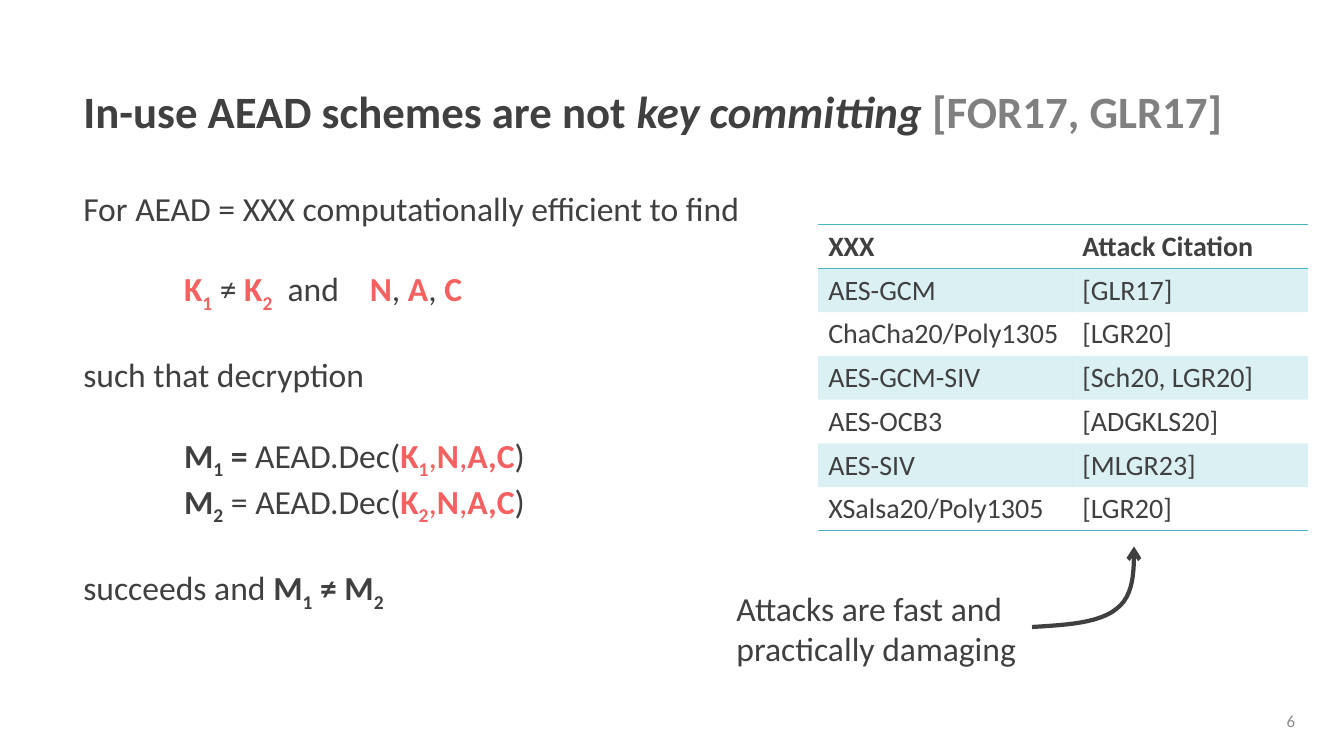
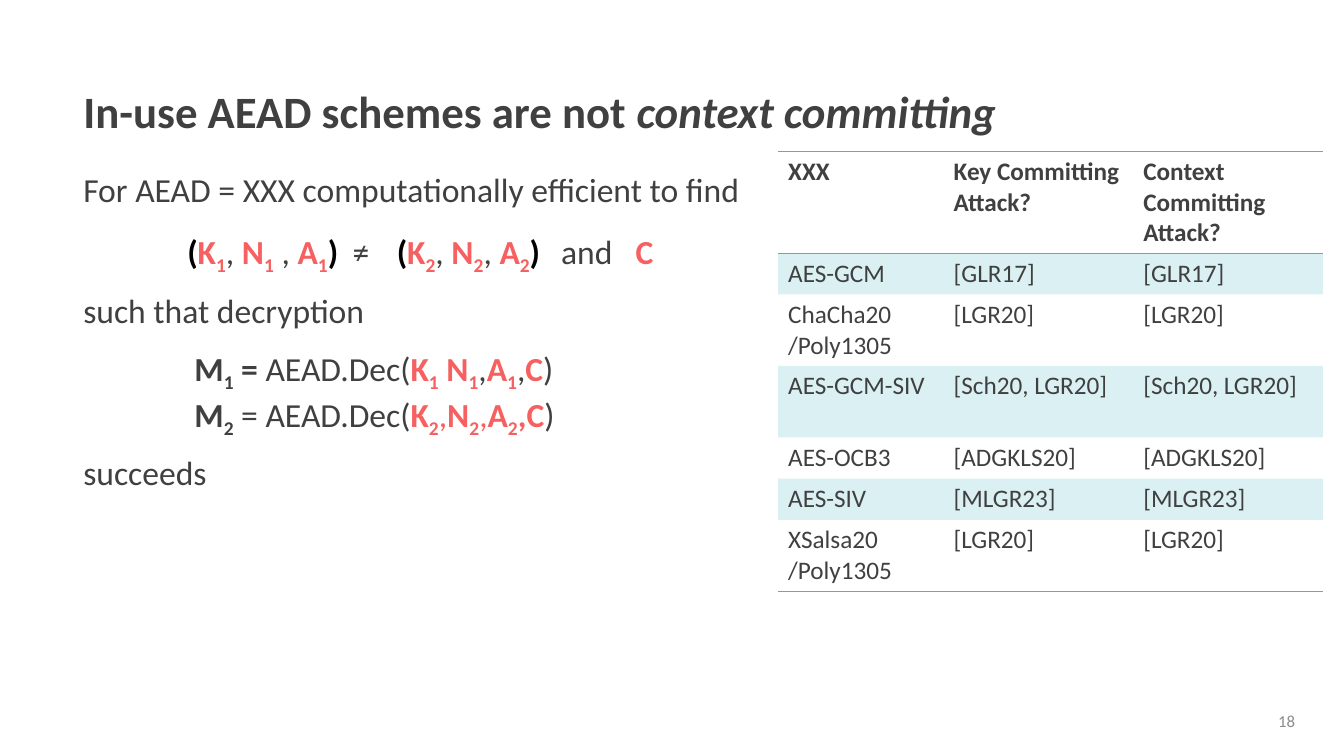
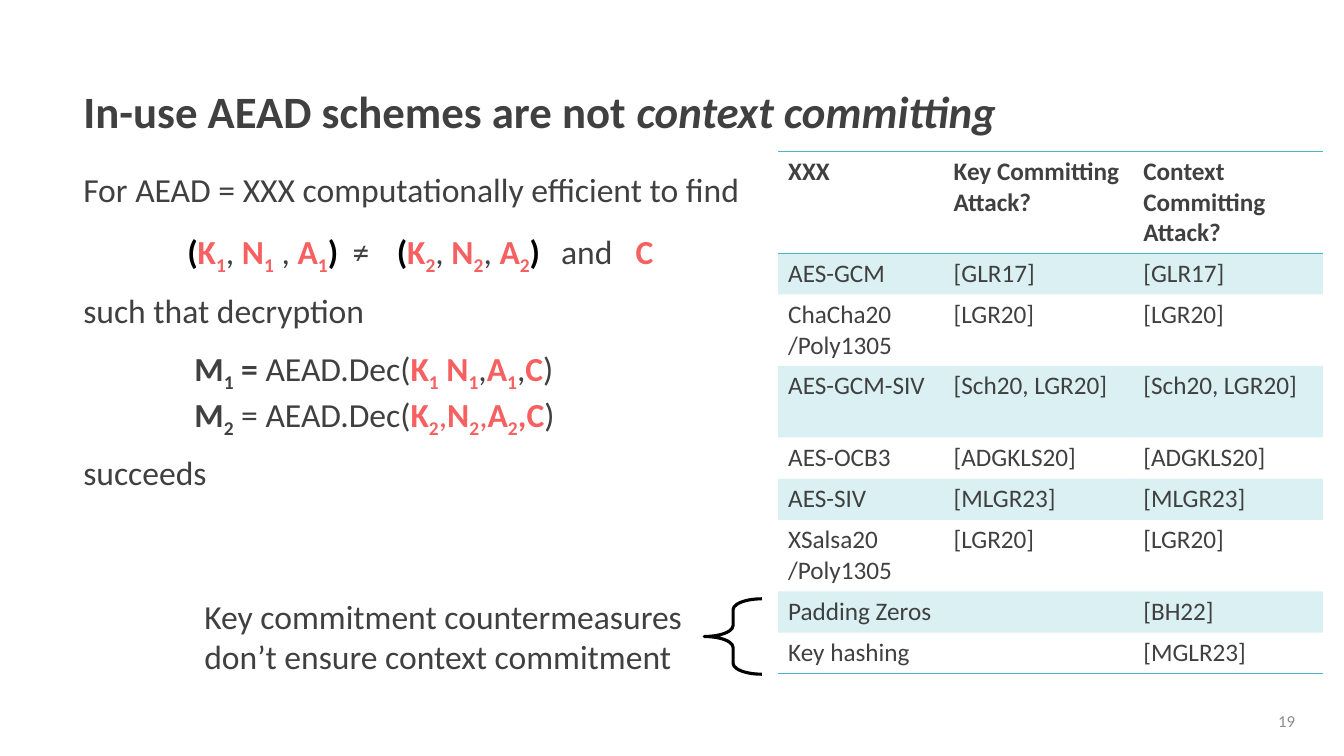
from pptx import Presentation
from pptx.dml.color import RGBColor
from pptx.enum.shapes import MSO_SHAPE as Shape
from pptx.enum.text import MSO_ANCHOR as Anchor, MSO_AUTO_SIZE as AutoSize, PP_ALIGN as Align
from pptx.oxml.ns import qn
from pptx.util import Cm, Pt
from lxml.etree import SubElement

# Shared look
FONT = "Calibri"
DARK = RGBColor(0x40, 0x40, 0x40)
GREY = RGBColor(0x80, 0x80, 0x80)
NUMBER_GREY = RGBColor(0x8C, 0x8C, 0x8C)
RED = RGBColor(0xF6, 0x60, 0x60)
TEAL = RGBColor(0x4A, 0xB5, 0xC4)
BLACK = RGBColor(0, 0, 0)
BODY_SIZE = 24
BLANK_LINE = 28.8  # points of space that stand for one empty line
NO_TABLE_STYLE = "{2D5ABB26-0587-4C30-8999-92F81FD0307C}"

STYLES = {
    "plain": {"color": DARK, "bold": False},
    "strong": {"color": DARK, "bold": True},
    "emphasis": {"color": DARK, "bold": True, "italic": True},
    "cite": {"color": GREY, "bold": True},
    "number": {"color": NUMBER_GREY, "bold": False},
    "red": {"color": RED, "bold": True},
    "light red": {"color": RED, "bold": False},
    "black": {"color": BLACK, "bold": True},
}

# Wording used on several slides; "_" lowers the character after it
INTRO = ["For AEAD = XXX computationally efficient to find"]
SUCH_THAT = ["such that decryption"]
NOT_TITLE = ("In-use AEAD schemes are not ", "strong")
SCHEMES = [
    ("AES-GCM", "[GLR17]"),
    ("ChaCha20/Poly1305", "[LGR20]"),
    ("AES-GCM-SIV", "[Sch20, LGR20]"),
    ("AES-OCB3", "[ADGKLS20]"),
    ("AES-SIV", "[MLGR23]"),
    ("XSalsa20/Poly1305", "[LGR20]"),
]
COUNTERMEASURES = [("Padding Zeros", "", "[BH22]"), ("Key hashing", "", "[MGLR23]")]
TALL, SHORT = 1.8, 1.04
CONTEXT_ROWS = [2.57, SHORT, TALL, TALL, SHORT, SHORT, TALL]


# Text
def add_span(para, text, style, size, lowered=False):
    span = para.add_run()
    span.text = text
    values = dict(STYLES[style], name=FONT, size=Pt(size))
    span.font.color.rgb = values.pop("color")
    for name, value in values.items():
        setattr(span.font, name, value)
    if lowered:
        span.font._element.set("baseline", "-25000")


def fill_para(para, spans, size):
    for item in spans:
        text, style = (item, "plain") if isinstance(item, str) else item
        first, *rest = text.split("_")
        if first:
            add_span(para, first, style, size)
        for part in rest:
            add_span(para, part[0], style, size, lowered=True)
            if part[1:]:
                add_span(para, part[1:], style, size)


def add_tabs(para, stops):
    tab_list = SubElement(para._p.get_or_add_pPr(), qn("a:tabLst"))
    for stop in stops:
        SubElement(tab_list, qn("a:tab"), pos=str(Cm(stop)), algn="l")


def add_text(page, place, lines, size=BODY_SIZE, tabs=(), align=Align.LEFT, anchor=Anchor.TOP):
    """Each line is a pair: empty lines before it, and its spans."""
    box = page.shapes.add_textbox(*map(Cm, place))
    frame = box.text_frame
    frame.word_wrap = True
    frame.vertical_anchor = anchor
    for index, (gap, spans) in enumerate(lines):
        para = frame.add_paragraph() if index else frame.paragraphs[0]
        if tabs:
            add_tabs(para, tabs)
        para.alignment = align
        if gap:
            para.space_before = Pt(gap * BLANK_LINE)
        fill_para(para, spans, size)


def add_page(deck, title_spans, number):
    page = deck.slides.add_slide(deck.slide_layouts[5])
    title = page.shapes.title
    title.left, title.top, title.width, title.height = map(Cm, (1.85, 1.02, 30.12, 3.68))
    frame = title.text_frame
    frame.word_wrap, frame.auto_size = True, AutoSize.NONE
    frame.vertical_anchor = Anchor.MIDDLE
    para = frame.paragraphs[0]
    para.alignment, para.line_spacing = Align.LEFT, 0.9
    fill_para(para, title_spans, 32)
    add_text(page, (25.27, 17.65, 7.62, 1.02), [(0, [(str(number), "number")])],
             size=12, align=Align.RIGHT, anchor=Anchor.MIDDLE)
    return page


# Table
def add_border(cell, side):
    line = SubElement(cell._tc.get_or_add_tcPr(), qn(f"a:{side}"), w=str(Pt(1)))
    SubElement(SubElement(line, qn("a:solidFill")), qn("a:srgbClr"), val=str(TEAL))


def shade(cell):
    cell.fill.solid()
    cell.fill.fore_color.rgb = TEAL
    color = cell._tc.tcPr.find(f"{qn('a:solidFill')}/{qn('a:srgbClr')}")
    SubElement(color, qn("a:alpha"), val="20000")


def add_scheme_table(page, corner, widths, heights, rows, size):
    place = (*corner, sum(widths), sum(heights))
    table = page.shapes.add_table(len(rows), len(widths), *map(Cm, place)).table
    table.first_row = table.horz_banding = False
    table._tbl.tblPr.find(qn("a:tableStyleId")).text = NO_TABLE_STYLE
    for column, width in zip(table.columns, widths):
        column.width = Cm(width)
    for row_index, (row, height) in enumerate(zip(rows, heights)):
        table.rows[row_index].height = Cm(height)
        for column_index, text in enumerate(row):
            cell = table.cell(row_index, column_index)
            if row_index == 0:
                add_border(cell, "lnT")
            if row_index in (0, len(rows) - 1):
                add_border(cell, "lnB")
            if row_index % 2:
                shade(cell)
            else:
                cell.fill.background()
            style = "plain" if row_index else "strong"
            for index, line in enumerate(text.split("\n") if text else []):
                frame = cell.text_frame
                para = frame.add_paragraph() if index else frame.paragraphs[0]
                fill_para(para, [(line, style)], size)


# Drawn marks
def set_outline(shape, color, width):
    shape.shadow.inherit = False
    shape.fill.background()
    shape.line.color.rgb = color
    shape.line.width = Pt(width)


def curve_points(start, control_a, control_b, end, steps=12):
    for step in range(1, steps + 1):
        t = step / steps
        weights = ((1 - t) ** 3, 3 * t * (1 - t) ** 2, 3 * t * t * (1 - t), t ** 3)
        points = (start, control_a, control_b, end)
        yield tuple(Cm(sum(w * point[axis] for w, point in zip(weights, points)))
                    for axis in (0, 1))


def add_curved_arrow(page, start, bend, end):
    """Two curves that meet at the bend, with an open head at the end."""
    builder = page.shapes.build_freeform(*map(Cm, start))
    points = [*curve_points(start, (26.87, 15.75), (27.71, 15.7), bend),
              *curve_points(bend, (28.58, 15.01), (28.58, 14.38), end)]
    builder.add_line_segments(points, close=False)
    arrow = builder.convert_to_shape()
    set_outline(arrow, DARK, 3)
    SubElement(arrow.line._get_or_add_ln(), qn("a:tailEnd"), type="arrow")


def add_brace(page, place):
    brace = page.shapes.add_shape(Shape.LEFT_BRACE, *map(Cm, place))
    brace.adjustments[0], brace.adjustments[1] = 0.19, 0.5
    set_outline(brace, BLACK, 2.25)


# Slides
def add_key_page(deck):
    page = add_page(deck, [NOT_TITLE, ("key committing ", "emphasis"),
                           ("[FOR17, GLR17]", "cite")], 6)

    def inputs(number):
        return [(f"K_{number}", "red"), (",", "light red"), ("N", "red"),
                (",", "light red"), ("A,C", "red"), ")"]

    add_text(page, (1.85, 4.6, 19.84, 10.52), [
        (0, INTRO),
        (1, [("\tK_1", "red"), " ≠ ", ("K_2", "red"), "\tand\t",
             ("N", "red"), ", ", ("A", "red"), ", ", ("C", "red")]),
        (1, SUCH_THAT),
        (1, [("\tM_1 = ", "strong"), "AEAD.Dec(", *inputs(1)]),
        (0, [("\tM_2", "strong"), " = AEAD.Dec(", *inputs(2)]),
        (1, ["succeeds and ", ("M_1 ≠ M_2", "strong")]),
    ], tabs=(2.54, 5.15, 7.22))
    rows = [("XXX", "Attack Citation"), *SCHEMES]
    add_scheme_table(page, (20.62, 5.66), (6.4, 5.94), [1.1] * len(rows), rows, 20)
    add_text(page, (18.31, 14.68, 7.9, 2.31),
             [(0, ["Attacks are fast and"]), (0, ["practically damaging"])])
    add_curved_arrow(page, (26.01, 15.8), (28.14, 15.34), (28.58, 13.77))


def add_context_page(deck, number, extra_rows=()):
    page = add_page(deck, [NOT_TITLE, ("context committing", "emphasis")], number)
    add_text(page, (1.85, 4.14, 19.84, 8.46),
             [(0, INTRO), (2, SUCH_THAT), (3, ["succeeds"])])
    add_text(page, (4.65, 8.64, 12.17, 2.31), [
        (0, [("M_1 = ", "strong"), "AEAD.Dec(", ("K_1 N_1", "red"), ",",
             ("A_1", "red"), ",", ("C", "red"), ")"]),
        (0, [("M_2", "strong"), " = AEAD.Dec(", ("K_2", "red"), (",", "light red"),
             ("N_2", "red"), (",", "light red"), ("A_2,C", "red"), ")"]),
    ])
    add_text(page, (4.47, 5.69, 15.67, 1.27), [
        (0, [("(", "black"), ("K_1", "red"), ",", (" N_1", "red"), " , ", ("A_1", "red"),
             (")", "black"), "\t≠\t", ("(", "black"), ("K_2", "red"), ", ",
             ("N_2", "red"), ", ", ("A_2", "red"), (")", "black"), "\tand\t",
             ("C", "red")]),
    ], tabs=(4.17, 5.28, 9.42, 11.3))
    rows = [("XXX", "Key Committing Attack?", "Context Committing Attack?")]
    rows += [(name.replace("/", "\n/"), cite, cite) for name, cite in SCHEMES]
    rows += extra_rows
    heights = CONTEXT_ROWS + [SHORT] * len(extra_rows)
    add_scheme_table(page, (19.61, 3.81), (4.17, 4.78, 4.78), heights, rows, 18)
    return page


def main():
    deck = Presentation()
    deck.slide_width, deck.slide_height = Cm(33.87), Cm(19.05)
    add_key_page(deck)
    add_context_page(deck, 18)
    page = add_context_page(deck, 19, COUNTERMEASURES)
    add_text(page, (4.9, 14.88, 12.85, 2.31),
             [(0, ["Key commitment countermeasures"]),
              (0, ["don’t ensure context commitment"])])
    add_brace(page, (17.75, 15.09, 1.45, 1.9))
    deck.save("out.pptx")


if __name__ == "__main__":
    main()
